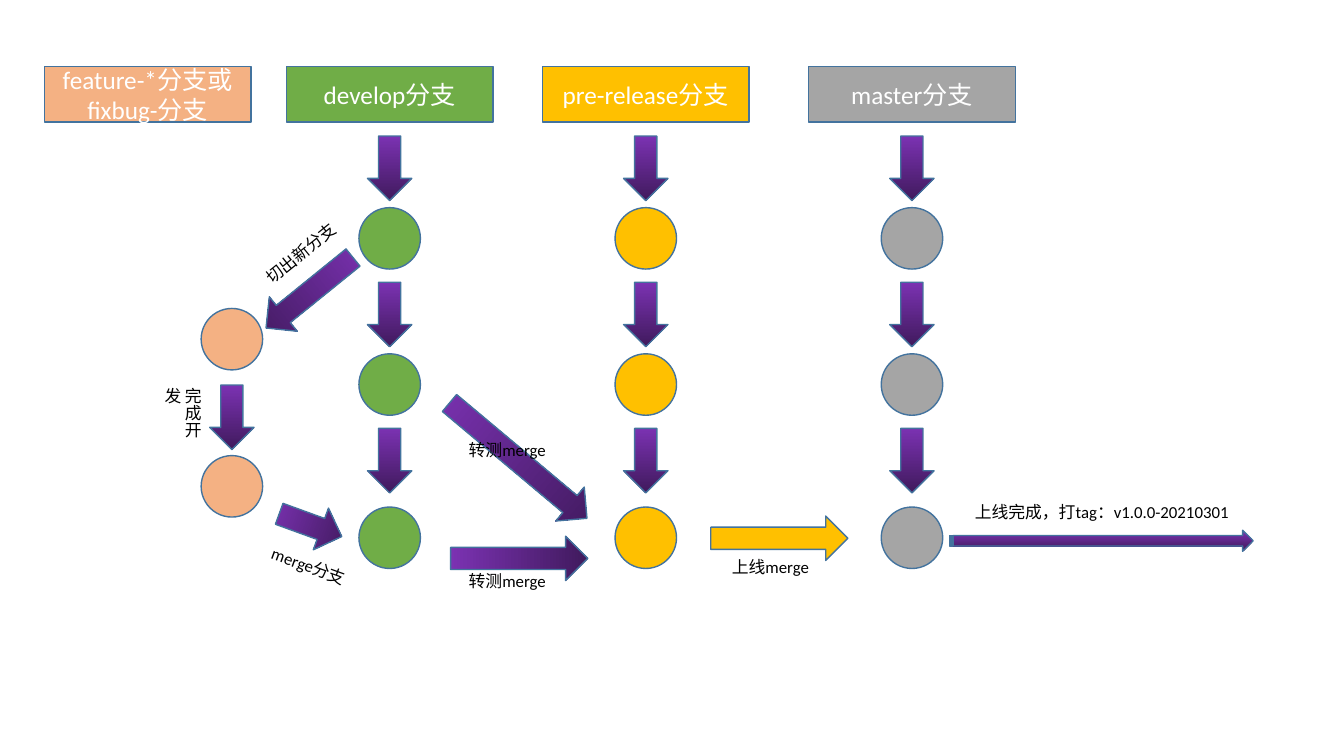
"""Draw the flow of code between git branches."""
import pptx
import pptx.util
import pptx.dml.color
import pptx.enum.shapes
import pptx.enum.text

Inches = pptx.util.Inches
Pt = pptx.util.Pt
RGBColor = pptx.dml.color.RGBColor
SHAPE = pptx.enum.shapes.MSO_SHAPE
ALIGN = pptx.enum.text.PP_ALIGN
ANCHOR = pptx.enum.text.MSO_ANCHOR
FIT = pptx.enum.text.MSO_AUTO_SIZE

PEACH = RGBColor(0xF4, 0xB1, 0x83)
GREEN = RGBColor(0x70, 0xAD, 0x47)
GOLD = RGBColor(0xFF, 0xC0, 0x00)
GRAY = RGBColor(0xA5, 0xA5, 0xA5)
BLUE = RGBColor(0x43, 0x73, 0x9E)
VIOLET = RGBColor(0x7B, 0x32, 0xB2)
PLUM = RGBColor(0x40, 0x1A, 0x5D)
WHITE = RGBColor(0xFF, 0xFF, 0xFF)
BLACK = RGBColor(0x00, 0x00, 0x00)

HEAD_W = 2.05
DOT = 0.61
SHAFT = 0.44
DROP = 0.64
STEP = 1.45


def add_form(slide, kind, left, top, width, height, color=None, turn=0):
    """Add an outlined shape, filled violet to plum if no color is given."""
    form = slide.shapes.add_shape(
        kind, Inches(left), Inches(top), Inches(width), Inches(height))
    form.shadow.inherit = False
    form.rotation = turn
    form.line.color.rgb = BLUE
    form.line.width = Pt(1)
    if color is None:
        form.fill.gradient()
        form.fill.gradient_angle = 270
        for stop, shade in zip(form.fill.gradient_stops, (VIOLET, PLUM)):
            stop.color.rgb = shade
    else:
        form.fill.solid()
        form.fill.fore_color.rgb = color
    return form


def set_text(frame, text, size, color):
    """Write one paragraph and return it."""
    para = frame.paragraphs[0]
    para.text = text
    para.font.name = "Calibri"
    para.font.size = Pt(size)
    para.font.color.rgb = color
    return para


def add_head(slide, left, text, color):
    """Add the title box of a branch."""
    box = add_form(slide, SHAPE.RECTANGLE, left, 0.66, HEAD_W, 0.55, color)
    box.text_frame.vertical_anchor = ANCHOR.MIDDLE
    set_text(box.text_frame, text, 18, WHITE).alignment = ALIGN.CENTER


def add_dot(slide, mid, top, color):
    """Add a commit circle centred on mid."""
    add_form(slide, SHAPE.OVAL, mid - DOT / 2, top, DOT, DOT, color)


def add_arrow(slide, mid, top, length=DROP, turn=0, color=None):
    """Add a block arrow centred on mid that points down before its turn."""
    add_form(slide, SHAPE.DOWN_ARROW, mid - SHAFT / 2, top, SHAFT, length,
             color, turn)


def add_note(slide, left, top, width, text, turn=0, height=0.3, stack=False):
    """Add a small label, with stacked characters if asked."""
    box = slide.shapes.add_textbox(
        Inches(left), Inches(top), Inches(width), Inches(height))
    box.rotation = turn
    frame = box.text_frame
    frame.word_wrap = stack
    frame.auto_size = FIT.SHAPE_TO_FIT_TEXT
    if stack:
        frame._txBody.bodyPr.set("vert", "eaVert")
    set_text(frame, text, 12, BLACK)


def add_branch(slide, left, text, color):
    """Add a branch title with its three arrows and commits."""
    add_head(slide, left, text, color)
    mid = left + HEAD_W / 2
    for row, top in enumerate((2.06, 3.51, 5.03)):
        add_arrow(slide, mid, 1.35 + row * STEP)
        add_dot(slide, mid, top, color)


def main():
    """Build and save the slide."""
    deck = pptx.Presentation()
    deck.slide_width = Inches(13.33)
    deck.slide_height = Inches(7.5)
    slide = deck.slides.add_slide(deck.slide_layouts[6])

    add_head(slide, 0.44, "feature-*分支或fixbug-分支", PEACH)
    for left, text, color in (
            (2.84, "develop分支", GREEN),
            (5.38, "pre-release分支", GOLD),
            (8.02, "master分支", GRAY)):
        add_branch(slide, left, text, color)

    for top in (3.06, 4.52):
        add_dot(slide, 2.3, top, PEACH)
    add_arrow(slide, 2.3, 3.82)

    for mid, top, length, turn, color in (
            (3.07, 2.35, 1.11, 51, None),
            (3.08, 4.88, 0.66, 290, None),
            (5.14, 3.68, 1.78, 310, None),
            (5.15, 4.86, 1.36, 270, None),
            (7.73, 4.66, 1.36, 270, GOLD)):
        add_arrow(slide, mid, top, length, turn, color)
    add_form(slide, SHAPE.STRIPED_RIGHT_ARROW, 9.42, 5.26, 3.01, 0.21)

    for left, top, width, text, turn in (
            (2.47, 2.36, 1.03, "切出新分支", 321),
            (2.58, 5.47, 1.01, "merge分支", 20),
            (4.55, 4.31, 1.01, "转测merge", 0),
            (4.55, 5.61, 1.01, "转测merge", 0),
            (7.16, 5.47, 1.01, "上线merge", 0),
            (9.57, 4.93, 2.86, "上线完成，打tag：v1.0.0-20210301", 0)):
        add_note(slide, left, top, width, text, turn)
    add_note(slide, 1.66, 3.75, 0.4, "完成开发", height=0.86, stack=True)

    deck.save("out.pptx")


if __name__ == "__main__":
    main()
